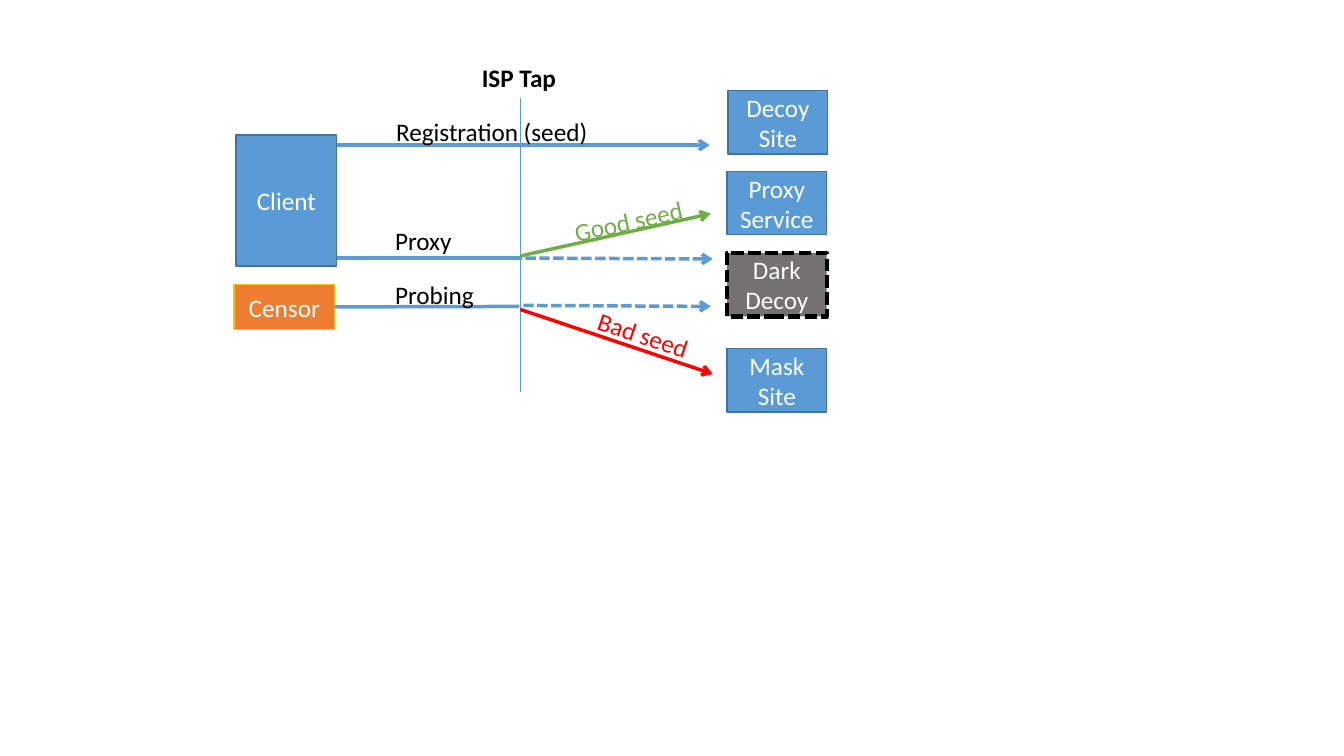
from pptx import Presentation
from pptx.dml.color import RGBColor
from pptx.enum.dml import MSO_LINE
from pptx.enum.shapes import MSO_CONNECTOR, MSO_SHAPE
from pptx.enum.text import MSO_ANCHOR, MSO_AUTO_SIZE, PP_ALIGN
from pptx.oxml.ns import qn
from pptx.util import Inches, Pt
from lxml import etree

RECT = MSO_SHAPE.RECTANGLE
STRAIGHT = MSO_CONNECTOR.STRAIGHT
DASH = MSO_LINE.SQUARE_DOT
MIDDLE = MSO_ANCHOR.MIDDLE
CENTER, LEFT = PP_ALIGN.CENTER, PP_ALIGN.LEFT
FIT_SHAPE = MSO_AUTO_SIZE.SHAPE_TO_FIT_TEXT
RIGHT_SIDE = 3

BLUE, NAVY, ORANGE, GOLD = "5B9BD5", "43739E", "ED7D31", "FFC000"
GREEN, RED, GRAY = "70AD47", "FF0000", "767171"
BLACK, WHITE = "000000", "FFFFFF"


def rgb(value):
    return RGBColor.from_string(value)


class Diagram:
    font = {"name": "Calibri", "size": Pt(18)}

    def __init__(self, slide):
        self.slide = slide

    def add_text(self, tf, text, color, align, **extra):
        p = tf.paragraphs[0]
        p.alignment = align
        r = p.add_run()
        r.text = text
        for key, value in {**self.font, **extra}.items():
            setattr(r.font, key, value)
        r.font.color.rgb = rgb(color)

    def stroke(self, line, color, width, dash=None):
        line.color.rgb = rgb(color)
        line.width = Pt(width)
        if dash:
            line.dash_style = dash

    def box(self, text, x, y, w, h, fill=BLUE, line=NAVY, width=1, dash=None):
        sp = self.slide.shapes.add_shape(RECT, *map(Inches, (x, y, w, h)))
        sp.shadow.inherit = False
        sp.fill.solid()
        sp.fill.fore_color.rgb = rgb(fill)
        self.stroke(sp.line, line, width, dash)
        sp.text_frame.word_wrap = True
        sp.text_frame.vertical_anchor = MIDDLE
        self.add_text(sp.text_frame, text, WHITE, CENTER)
        return sp

    def label(self, text, x, y, w, color=BLACK, rotation=0, **extra):
        sp = self.slide.shapes.add_textbox(*map(Inches, (x, y, w, 0.4)))
        sp.rotation = rotation
        sp.text_frame.word_wrap = False
        sp.text_frame.auto_size = FIT_SHAPE
        self.add_text(sp.text_frame, text, color, LEFT, **extra)

    def line(self, x1, y1, x2, y2, color=BLUE, width=2.5, dash=None, arrow=False):
        cx = self.slide.shapes.add_connector(STRAIGHT, *map(Inches, (x1, y1, x2, y2)))
        self.stroke(cx.line, color, width, dash)
        if arrow:
            ln = cx._element.spPr.find(qn("a:ln"))
            etree.SubElement(ln, qn("a:tailEnd"), type="arrow")
        etree.SubElement(cx._element.spPr, qn("a:effectLst"))
        return cx


def main():
    prs = Presentation()
    prs.slide_width, prs.slide_height = Inches(13.33), Inches(7.5)
    d = Diagram(prs.slides.add_slide(prs.slide_layouts[6]))

    d.box("Client", 2.34, 1.34, 1, 1.3)
    censor = d.box("Censor", 2.32, 2.82, 1, 0.45, fill=ORANGE, line=GOLD)
    dark = {"fill": GRAY, "line": BLACK, "width": 3, "dash": DASH}
    for text, x, y, style in (
        ("Decoy Site", 7.22, 0.9, {}),
        ("Proxy Service", 7.21, 1.7, {}),
        ("Dark Decoy", 7.21, 2.51, dark),
        ("Mask Site", 7.21, 3.46, {}),
    ):
        d.box(text, x, y, 0.99, 0.63, **style)

    tap_x = 5.16
    d.line(tap_x, 0.97, tap_x, 3.89, width=0.5)
    d.line(3.34, 1.44, 7.04, 1.44, arrow=True)
    d.line(3.34, 2.56, 5.18, 2.56)
    probe = d.line(3.32, 3.04, 5.15, 3.04)
    probe.begin_connect(censor, RIGHT_SIDE)
    d.line(5.21, 2.56, 7.07, 2.57, dash=DASH, arrow=True)
    d.line(5.19, 3.03, 7.05, 3.04, dash=DASH, arrow=True)
    d.line(tap_x, 2.54, 7.05, 2.12, GREEN, arrow=True)
    d.line(tap_x, 3.07, 7.07, 3.71, RED, arrow=True)

    d.label("ISP Tap", 4.68, 0.57, 0.95, bold=True)
    d.label("Registration (seed)", 3.83, 1.11, 2.12)
    d.label("Proxy", 3.82, 2.19, 0.77)
    d.label("Probing", 3.82, 2.72, 0.99)
    d.label("Good seed", 5.59, 1.99, 1.3, GREEN, 347.9)
    d.label("Bad seed", 5.82, 3.12, 1.14, RED, 18.5)

    prs.save("out.pptx")


if __name__ == "__main__":
    main()
